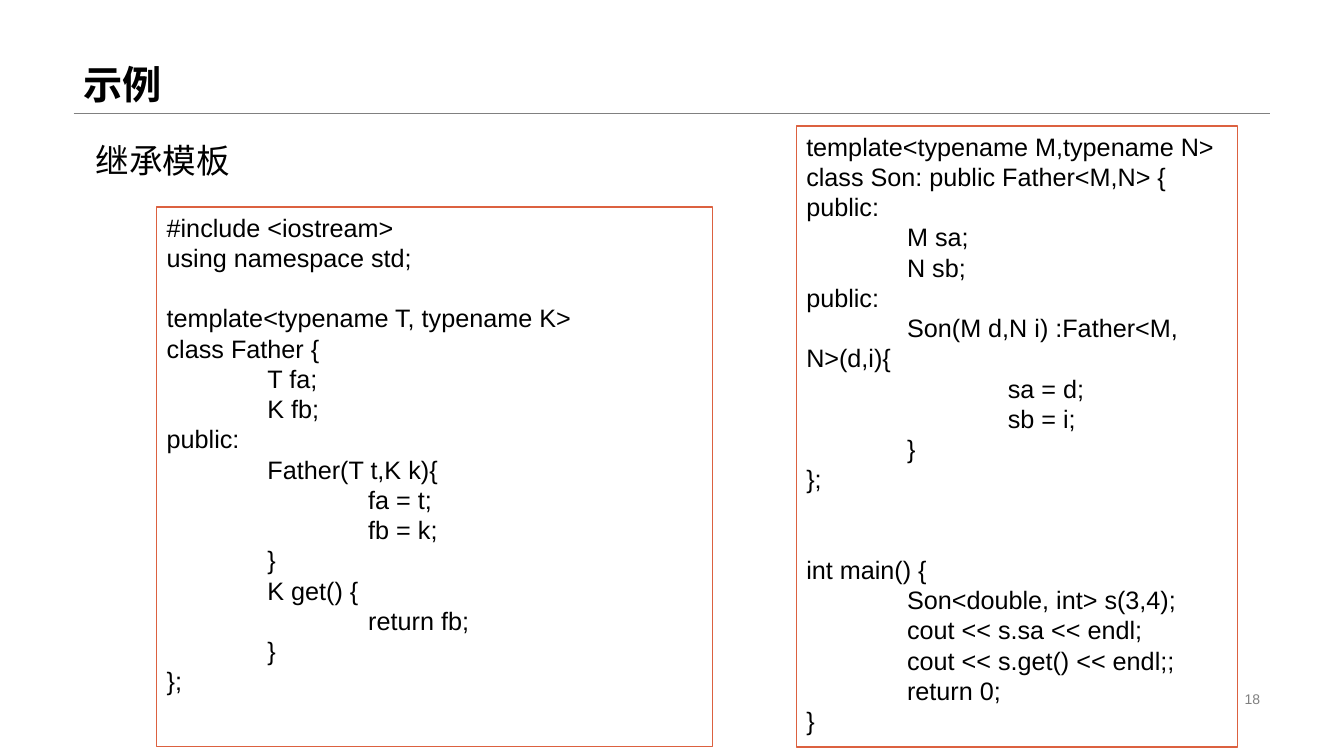
from dataclasses import dataclass

from lxml import etree
from pptx import Presentation
from pptx.dml.color import RGBColor
from pptx.enum.shapes import MSO_CONNECTOR, MSO_SHAPE
from pptx.enum.text import MSO_ANCHOR, PP_ALIGN
from pptx.oxml.ns import qn
from pptx.util import Inches, Pt

RECTANGLE = MSO_SHAPE.RECTANGLE
STRAIGHT = MSO_CONNECTOR.STRAIGHT
TOP, MIDDLE, BOTTOM = MSO_ANCHOR.TOP, MSO_ANCHOR.MIDDLE, MSO_ANCHOR.BOTTOM
LEFT, RIGHT = PP_ALIGN.LEFT, PP_ALIGN.RIGHT

BLACK = RGBColor(0x00, 0x00, 0x00)
GREY = RGBColor(0x80, 0x80, 0x80)
ORANGE = RGBColor(0xDC, 0x61, 0x40)

# The grid: square cells, a tenth of an inch each
CELL = Inches(0.1)
COLUMNS, ROWS = 133.33, 75
MARGIN, CONTENT_WIDTH, RULE_ROW = 7.3, 118.7, 11.2
CODE_SIZE = 18
BLANK_LINE = Pt(CODE_SIZE * 1.2)
TAB_COLUMNS = 10

FATHER_CODE = """#include <iostream>
using namespace std;

template<typename T, typename K>
class Father {
\tT fa;
\tK fb;
public:
\tFather(T t,K k){
\t\tfa = t;
\t\tfb = k;
\t}
\tK get() {
\t\treturn fb;
\t}
};"""

SON_CODE = """template<typename M,typename N>
class Son: public Father<M,N> {
public:
\tM sa;
\tN sb;
public:
\tSon(M d,N i) :Father<M, N>(d,i){
\t\tsa = d;
\t\tsb = i;
\t}
};


int main() {
\tSon<double, int> s(3,4);
\tcout << s.sa << endl;
\tcout << s.get() << endl;;
\treturn 0;
}"""


@dataclass
class TextBlock:
    text: str
    column: float
    row: float
    columns: float
    rows: float
    size: int = CODE_SIZE
    color: RGBColor = BLACK
    bold: bool = False
    anchor: MSO_ANCHOR = TOP
    align: PP_ALIGN = LEFT
    line_spacing: float = 1.0
    framed: bool = False


BLOCKS = [
    TextBlock("示例", MARGIN, 0, CONTENT_WIDTH, RULE_ROW, size=28, bold=True,
              anchor=BOTTOM, line_spacing=0.9),
    TextBlock("18", 94.2, 68.2, 31.8, 2.3, size=10, color=GREY,
              anchor=MIDDLE, align=RIGHT),
    TextBlock("继承模板", 8.5, 13.4, 41.3, 5, size=24),
    TextBlock(FATHER_CODE, 15.55, 20.54, 55.15, 53.5, framed=True),
    TextBlock(SON_CODE, 79, 12.5, 43.8, 61.6, framed=True),
]


def cells(count: float) -> int:
    return round(count * CELL)


def set_all(target, values: dict) -> None:
    for name, value in values.items():
        setattr(target, name, value)


def add_tab_stops(para, count: int) -> None:
    stops = etree.SubElement(para._p.get_or_add_pPr(), qn("a:tabLst"))
    for number in range(1, count + 1):
        etree.SubElement(stops, qn("a:tab"),
                         pos=str(cells(number * TAB_COLUMNS)), algn="l")


def write_text(frame, block: TextBlock) -> None:
    set_all(frame, {"word_wrap": True, "vertical_anchor": block.anchor})
    blank_lines = 0
    para = None
    for line in block.text.split("\n"):
        if not line:
            blank_lines += 1
            continue
        para = frame.add_paragraph() if para else frame.paragraphs[0]
        if "\t" in line:
            add_tab_stops(para, line.count("\t"))
        set_all(para, {"alignment": block.align,
                       "line_spacing": block.line_spacing})
        if blank_lines:
            para.space_before = blank_lines * BLANK_LINE
            blank_lines = 0
        span = para.add_run()
        span.text = line
        set_all(span.font, {"name": "Arial", "size": Pt(block.size),
                            "bold": block.bold})
        span.font.color.rgb = block.color


def draw_block(page, block: TextBlock) -> None:
    place = [cells(n) for n in (block.column, block.row, block.columns, block.rows)]
    if block.framed:
        box = page.shapes.add_shape(RECTANGLE, *place)
        box.shadow.inherit = False
        box.fill.background()
        box.line.color.rgb = ORANGE
        box.line.width = Pt(1)
    else:
        box = page.shapes.add_textbox(*place)
    write_text(box.text_frame, block)


def draw_rule(page) -> None:
    rule = page.shapes.add_connector(
        STRAIGHT, cells(MARGIN), cells(RULE_ROW),
        cells(MARGIN + CONTENT_WIDTH), cells(RULE_ROW))
    rule.line.color.rgb = GREY
    rule.line.width = Pt(0.25)
    etree.SubElement(rule._element.spPr, qn("a:effectLst"))


def main() -> None:
    deck = Presentation()
    set_all(deck, {"slide_width": cells(COLUMNS), "slide_height": cells(ROWS)})
    page = deck.slides.add_slide(deck.slide_layouts[6])

    # Rule under the title
    draw_rule(page)

    # Title, page number, heading and code boxes
    for block in BLOCKS:
        draw_block(page, block)

    deck.save("out.pptx")


if __name__ == "__main__":
    main()
